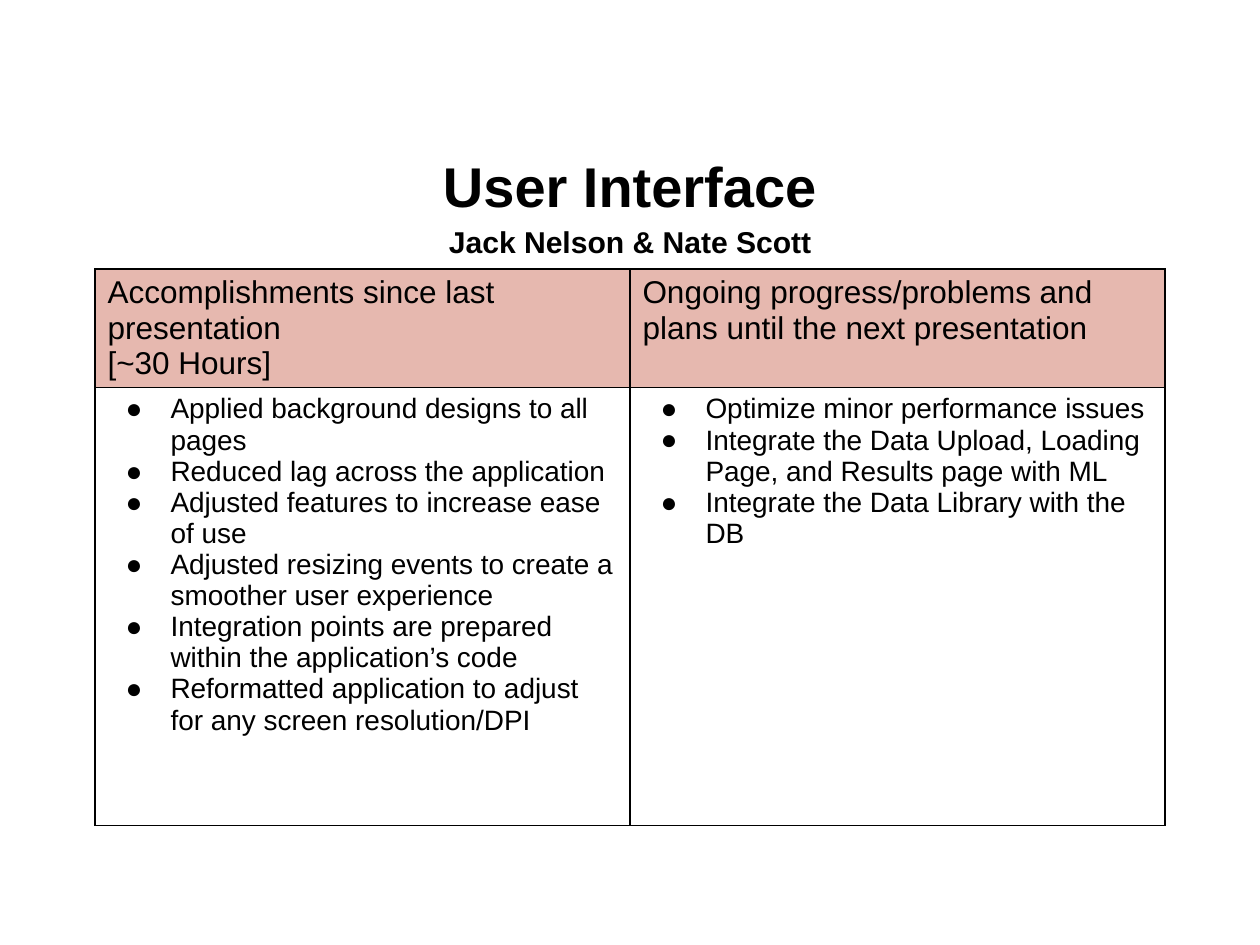
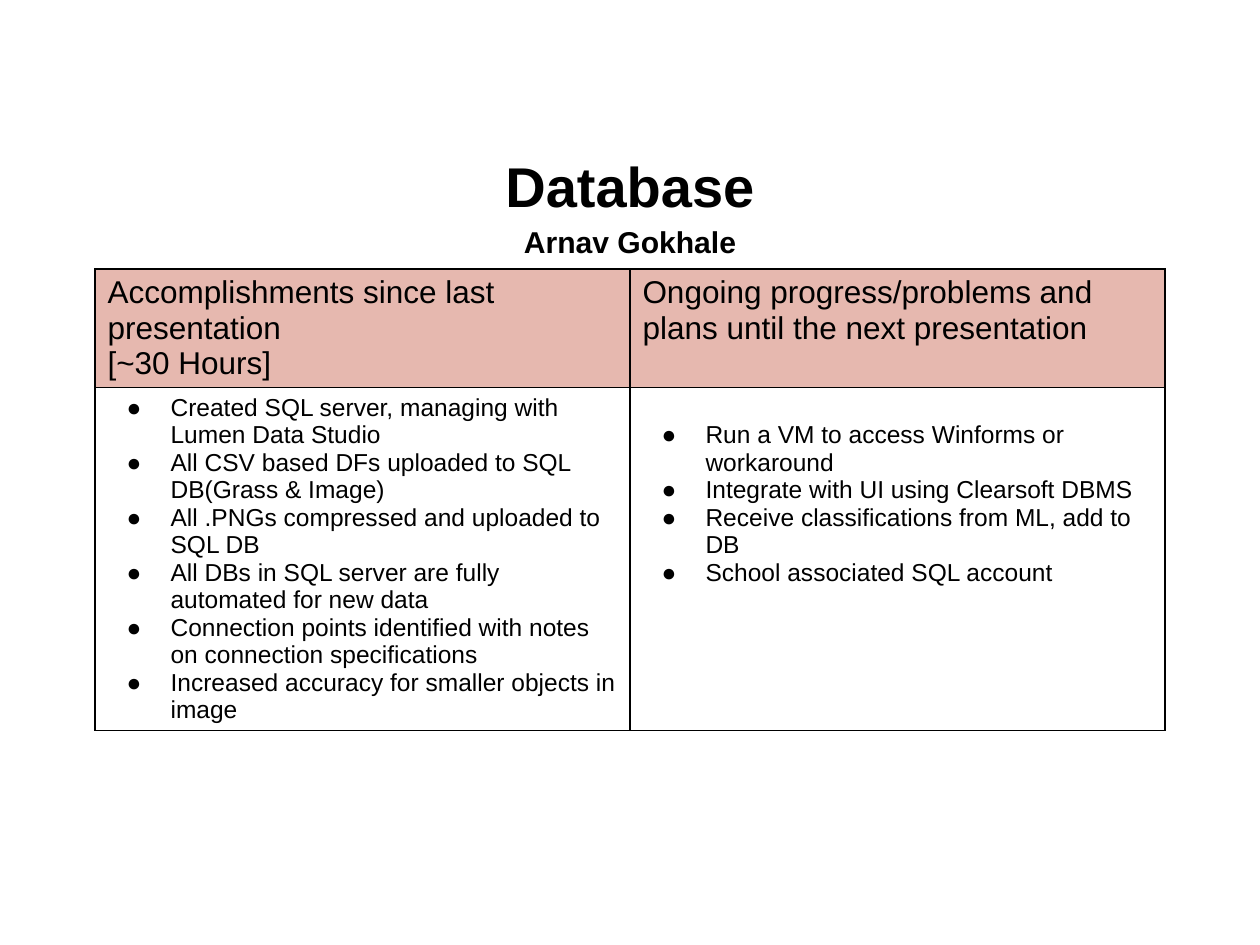
from dataclasses import dataclass

from lxml.etree import SubElement
from pptx import Presentation
from pptx.dml.color import RGBColor as RGB
from pptx.enum.text import MSO_ANCHOR as ANCHOR, MSO_AUTO_SIZE as AUTO, PP_ALIGN as ALIGN
from pptx.oxml.ns import qn
from pptx.util import Pt


@dataclass(frozen=True)
class Theme:
    font: str = "Arial"
    ink: str = "000000"
    header_fill: str = "E6B8AF"
    title_size: float = 32
    names_size: float = 17.2
    header_size: float = 18
    border_width: float = 1


THEME = Theme()
HEADERS = [
    ["Accomplishments since last presentation", "[~30 Hours]"],
    ["Ongoing progress/problems and plans until the next presentation"],
]

# Lengths in px, 126 to the inch
EMU_PER_PX = 914400 / 126
TITLE_BOX = (63, 145, 1134, 111)
TABLE_LEFT, TABLE_TOP, COLUMN_WIDTH, HEADER_HEIGHT = 95, 269, 535, 118
CELL_MARGIN_TOP = 6
BULLET_INDENT = 63


def px(n):
    return round(n * EMU_PER_PX)


def style_paragraph(p, size, bold=False):
    for r in p.runs:
        r.font.name = THEME.font
        r.font.size = Pt(size)
        r.font.bold = bold
        r.font.color.rgb = RGB.from_string(THEME.ink)


def add_bullet(p, hanging):
    pPr = p._p.get_or_add_pPr()
    pPr.set("marL", str(px(BULLET_INDENT)))
    pPr.set("indent", str(-px(hanging)))
    color = SubElement(pPr, qn("a:buClr"))
    SubElement(color, qn("a:srgbClr"), val=THEME.ink)
    SubElement(pPr, qn("a:buFont"), typeface=THEME.font)
    SubElement(pPr, qn("a:buChar"), char="●")


def add_borders(cell):
    tcPr = cell._tc.get_or_add_tcPr()
    for side in ("lnL", "lnR", "lnT", "lnB"):
        ln = SubElement(tcPr, qn(f"a:{side}"), w=str(Pt(THEME.border_width)))
        fill = SubElement(ln, qn("a:solidFill"))
        SubElement(fill, qn("a:srgbClr"), val=THEME.ink)


def fill_cell(cell, lines, size, fill=None, hanging=None):
    add_borders(cell)
    if fill:
        cell.fill.solid()
        cell.fill.fore_color.rgb = RGB.from_string(fill)
    else:
        cell.fill.background()
    tf = cell.text_frame
    tf.text = "\n".join(lines)
    for p in tf.paragraphs:
        style_paragraph(p, size)
        if hanging:
            add_bullet(p, hanging)


def set_title(s, title, names):
    sp = s.shapes.title
    sp.left, sp.top, sp.width, sp.height = map(px, TITLE_BOX)
    tf = sp.text_frame
    tf.text = f"{title}\n{names}"
    tf.word_wrap = True
    tf.auto_size = AUTO.NONE
    tf.vertical_anchor = ANCHOR.MIDDLE
    for p, size in zip(tf.paragraphs, (THEME.title_size, THEME.names_size)):
        p.alignment = ALIGN.CENTER
        p.line_spacing = 1.15
        p.space_before = Pt(0)
        style_paragraph(p, size, bold=True)


def add_status_table(s, columns, body_height, size, hanging):
    frame = s.shapes.add_table(2, len(columns), px(TABLE_LEFT), px(TABLE_TOP),
                               px(COLUMN_WIDTH * len(columns)),
                               px(HEADER_HEIGHT + body_height))
    table = frame.table
    table.first_row = table.horz_banding = False
    table.rows[0].height = px(HEADER_HEIGHT)
    table.rows[1].height = px(body_height)
    for i, (header, items) in enumerate(zip(HEADERS, columns)):
        table.columns[i].width = px(COLUMN_WIDTH)
        fill_cell(table.cell(0, i), header, THEME.header_size, THEME.header_fill)
        fill_cell(table.cell(1, i), items, size, hanging=hanging)
    return table


def add_status_slide(prs, title, names, columns, body_height, size, hanging):
    s = prs.slides.add_slide(prs.slide_layouts[5])
    set_title(s, title, names)
    return add_status_table(s, columns, body_height, size, hanging)


def main():
    prs = Presentation()
    prs.slide_width, prs.slide_height = px(1260), px(945)

    # User interface status
    add_status_slide(prs, "User Interface", "Jack Nelson & Nate Scott", [
        ["Applied background designs to all pages",
         "Reduced lag across the application",
         "Adjusted features to increase ease of use",
         "Adjusted resizing events to create a smoother user experience",
         "Integration points are prepared within the application’s code",
         "Reformatted application to adjust for any screen resolution/DPI"],
        ["Optimize minor performance issues",
         "Integrate the Data Upload, Loading Page, and Results page with ML",
         "Integrate the Data Library with the DB"],
    ], body_height=438, size=16, hanging=45)

    # Database status
    table = add_status_slide(prs, "Database", "Arnav Gokhale", [
        ["Created SQL server, managing with Lumen Data Studio",
         "All CSV based DFs uploaded to SQL DB(Grass & Image)",
         "All .PNGs compressed and uploaded to SQL DB",
         "All DBs in SQL server are fully automated for new data",
         "Connection points identified with notes on connection specifications",
         "Increased accuracy for smaller objects in image"],
        ["Run a VM to access Winforms or workaround",
         "Integrate with UI using Clearsoft DBMS",
         "Receive classifications from ML, add to DB",
         "School associated SQL account"],
    ], body_height=342, size=14, hanging=44)
    # The plans start one line lower
    table.cell(1, 1).margin_top = px(CELL_MARGIN_TOP + 28)

    prs.save("out.pptx")


if __name__ == "__main__":
    main()
